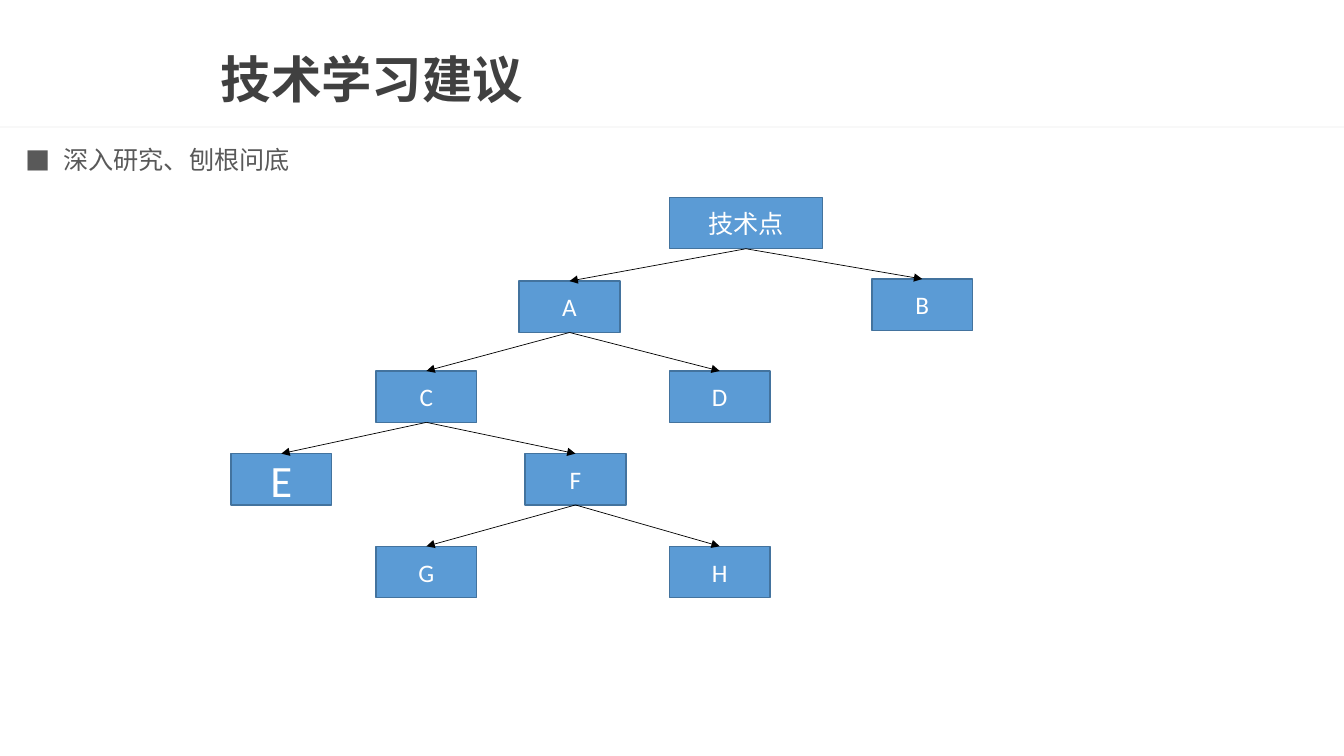
from lxml import etree
from pptx import Presentation
from pptx.dml.color import RGBColor
from pptx.enum.shapes import MSO_CONNECTOR, MSO_SHAPE
from pptx.enum.text import MSO_ANCHOR, MSO_AUTO_SIZE, PP_ALIGN
from pptx.oxml.ns import qn
from pptx.util import Pt

RECT, STRAIGHT = MSO_SHAPE.RECTANGLE, MSO_CONNECTOR.STRAIGHT
MIDDLE, NO_FIT = MSO_ANCHOR.MIDDLE, MSO_AUTO_SIZE.NONE
LEFT, CENTER = PP_ALIGN.LEFT, PP_ALIGN.CENTER
TOP_SITE, BOTTOM_SITE = 0, 2

COLORS = {"title": "404040", "body": "595959", "rule": "EAEAEA", "node": "5B9BD5",
          "border": "43739E", "label": "FFFFFF", "arrow": "000000"}
CJK, LATIN = "Noto Sans CJK SC", "Calibri"
NODE_W, NODE_H, ROOT_W = 72, 36.7, 109.4
NODES = {
    "技术点": (367.8, 0), "A": (241.8, 59.8), "B": (493.8, 58.3),
    "C": (139.6, 124), "D": (349.1, 124), "E": (36, 183), "F": (246.1, 183),
    "G": (139.6, 249.2), "H": (349.1, 249.2),
}
CHILDREN = {"技术点": "AB", "A": "CD", "C": "EF", "F": "GH"}


def rgb(name):
    """Return the named palette colour."""
    return RGBColor.from_string(COLORS[name])


def set_attrs(obj, **values):
    """Set each given attribute on the object."""
    for name, value in values.items():
        setattr(obj, name, value)


def place(sp, box):
    """Move and size a shape to a box in points."""
    set_attrs(sp, **dict(zip(("left", "top", "width", "height"), map(Pt, box))))


def add_child(parent, tag, **attrs):
    """Append a DrawingML element with attributes."""
    return etree.SubElement(parent, qn(tag), attrs)


def write(sp, text, size, color, font=CJK, bold=False, align=LEFT):
    """Write one formatted paragraph and return it."""
    tf = sp.text_frame
    set_attrs(tf, word_wrap=True, auto_size=NO_FIT, vertical_anchor=MIDDLE)
    p = tf.paragraphs[0]
    set_attrs(p, alignment=align, space_before=Pt(0))
    r = p.add_run()
    r.text = text
    set_attrs(r.font, size=Pt(size), bold=bold, name=font)
    r.font.color.rgb = rgb(color)
    add_child(r.font._element, "a:ea", typeface=CJK)
    return p


def add_rect(slide, box, fill):
    """Add a plain rectangle without shadow or border."""
    x, y, w, h = map(Pt, box)
    sp = slide.shapes.add_shape(RECT, x, y, w, h)
    sp.shadow.inherit = False
    sp.fill.solid()
    sp.fill.fore_color.rgb = rgb(fill)
    sp.line.fill.background()
    return sp


def build_header(slide, box):
    """Place the title and the faint rule under it."""
    x, y, w, h = box
    rule = add_rect(slide, (x, y + h - 1.4, w, 1.4), "rule")
    color = rule._element.spPr.find(qn("a:solidFill"))[0]
    add_child(color, "a:alpha", val="32000")
    title = slide.shapes.title
    place(title, (x + 150.5, y + 31, 794, 56))
    write(title, "技术学习建议", 36, "title", bold=True).line_spacing = 0.9


def build_bullet(slide, box):
    """Fill the body placeholder with the bulleted line."""
    body = slide.placeholders[1]
    place(body, box)
    p = write(body, "深入研究、刨根问底", 18, "body")
    p.line_spacing = Pt(30)
    pPr = p._p.get_or_add_pPr()
    set_attrs(pPr, marL=Pt(27), indent=Pt(-27))
    add_child(pPr, "a:buFont", typeface=CJK)
    add_child(pPr, "a:buChar", char="■")


def add_arrow(slide, parent, child):
    """Join the parent's bottom to the child's top."""
    c = slide.shapes.add_connector(STRAIGHT, 0, 0, 0, 0)
    c.begin_connect(parent, BOTTOM_SITE)
    c.end_connect(child, TOP_SITE)
    c.line.width = Pt(0.5)
    c.line.color.rgb = rgb("arrow")
    add_child(c.line._get_or_add_ln(), "a:tailEnd", type="triangle")
    add_child(c._element.spPr, "a:effectLst")


def build_tree(slide, box):
    """Draw the topic tree with its nodes and arrows."""
    x, y = box[:2]
    shapes = {}
    for name, (center, top) in NODES.items():
        w = ROOT_W if name == "技术点" else NODE_W
        sp = add_rect(slide, (x + center - w / 2, y + top, w, NODE_H), "node")
        sp.line.color.rgb = rgb("border")
        sp.line.width = Pt(1)
        write(sp, name, 32 if name == "E" else 18, "label", LATIN, align=CENTER)
        shapes[name] = sp
    for parent, children in CHILDREN.items():
        for child in children:
            add_arrow(slide, shapes[parent], shapes[child])


def main():
    """Build and save the slide."""
    prs = Presentation()
    set_attrs(prs, slide_width=Pt(960), slide_height=Pt(540))
    slide = prs.slides.add_slide(prs.slide_layouts[1])
    build_header(slide, (0, 0, 960, 91.4))
    build_bullet(slide, (10.8, 94.3, 539.3, 31))
    build_tree(slide, (165, 141, 530, 286))
    prs.save("out.pptx")


main()
